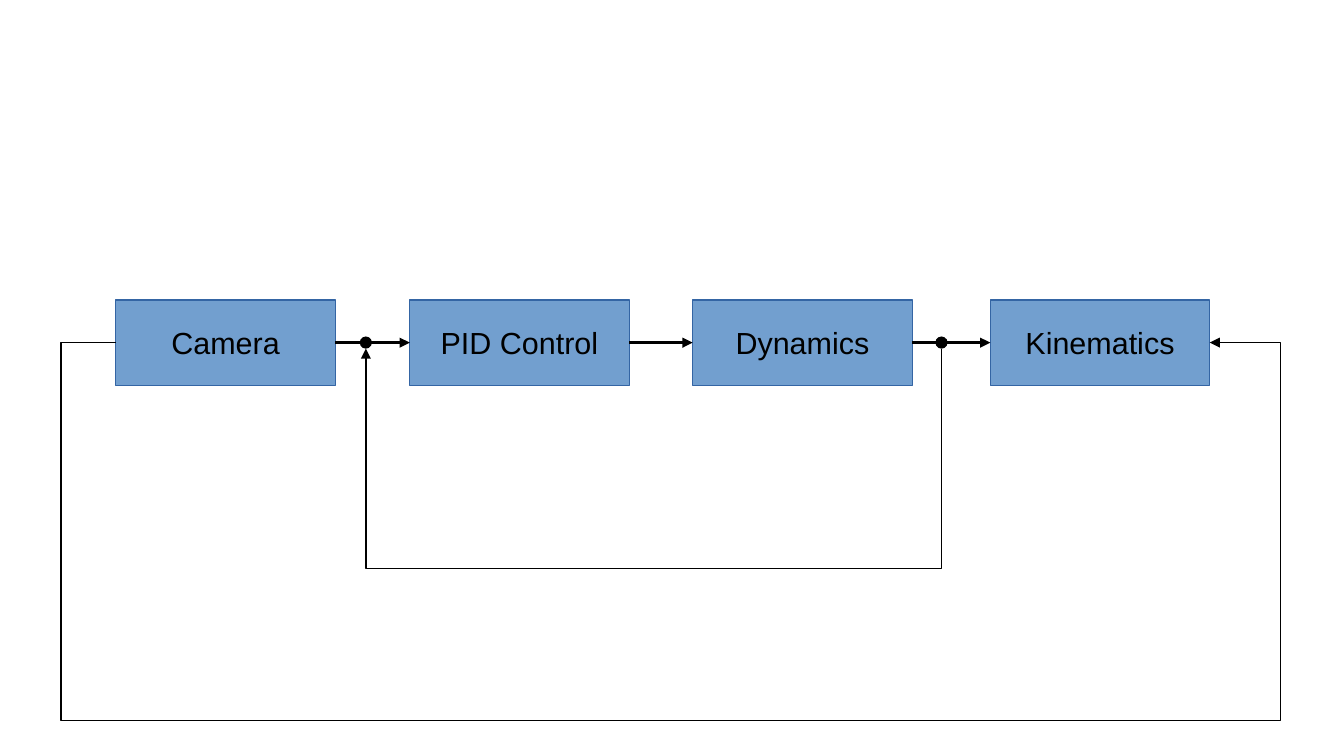
"""Build a block diagram of a camera control loop."""
from lxml import etree
from pptx import Presentation
from pptx.dml.color import RGBColor
from pptx.enum.shapes import MSO_CONNECTOR, MSO_SHAPE
from pptx.enum.text import MSO_ANCHOR, PP_ALIGN
from pptx.oxml.ns import qn
from pptx.util import Inches, Pt

RECT, OVAL = MSO_SHAPE.RECTANGLE, MSO_SHAPE.OVAL
STRAIGHT = MSO_CONNECTOR.STRAIGHT
MIDDLE, CENTER = MSO_ANCHOR.MIDDLE, PP_ALIGN.CENTER
LEFT, RIGHT = 1, 3

COLORS = {"box": "729FCF", "edge": "3465A4", "ink": "000000"}
BLOCKS = [("Camera", 0.95), ("PID Control", 3.36),
          ("Dynamics", 5.68), ("Kinematics", 8.12)]
TOP, WIDE, HIGH = 2.46, 1.8, 0.7
MID = TOP + HIGH / 2
DOT = 0.1
SUM_X, TAP_X = 3, 7.72
LOW = MID + DOT / 2
START, END = BLOCKS[0][1], BLOCKS[-1][1] + WIDE
LOOPS = [
    [(START, MID), (0.5, MID), (0.5, 5.91), (10.5, 5.91), (10.5, MID), (END, MID)],
    [(TAP_X, LOW), (TAP_X, 4.66), (SUM_X, 4.66), (SUM_X, LOW)],
]


def color(name):
    return RGBColor.from_string(COLORS[name])


def add_box(slide, label, left):
    box = slide.shapes.add_shape(RECT, Inches(left), Inches(TOP), Inches(WIDE), Inches(HIGH))
    box.shadow.inherit = False
    box.fill.solid()
    box.fill.fore_color.rgb = color("box")
    box.line.color.rgb = color("edge")
    box.line.width = 0
    frame = box.text_frame
    frame.word_wrap = False
    frame.vertical_anchor = MIDDLE
    para = frame.paragraphs[0]
    para.text = label
    para.alignment = CENTER
    para.font.name = "Arial"
    para.font.size = Pt(18)
    para.font.color.rgb = color("ink")
    return box


def style_arrow(arrow):
    arrow.line.color.rgb = color("ink")
    arrow.line.width = 0
    props = arrow._element.spPr
    etree.SubElement(props.find(qn("a:ln")), qn("a:tailEnd"), type="triangle")
    etree.SubElement(props, qn("a:effectLst"))


def add_link(slide, source, target):
    link = slide.shapes.add_connector(STRAIGHT, 0, 0, 0, 0)
    link.begin_connect(source, RIGHT)
    link.end_connect(target, LEFT)
    style_arrow(link)


def add_loop(slide, points):
    route = [(Inches(x), Inches(y)) for x, y in points]
    pen = slide.shapes.build_freeform(*route[0])
    pen.add_line_segments(route[1:], close=False)
    loop = pen.convert_to_shape()
    loop.fill.background()
    style_arrow(loop)


def add_dot(slide, x):
    dot = slide.shapes.add_shape(OVAL, Inches(x - DOT / 2), Inches(MID - DOT / 2),
                                 Inches(DOT), Inches(DOT))
    dot.shadow.inherit = False
    dot.fill.solid()
    dot.fill.fore_color.rgb = color("ink")
    dot.line.fill.background()


def main():
    deck = Presentation()
    deck.slide_width, deck.slide_height = Inches(11.02), Inches(6.2)
    slide = deck.slides.add_slide(deck.slide_layouts[6])
    boxes = [add_box(slide, label, left) for label, left in BLOCKS]
    for source, target in zip(boxes, boxes[1:]):
        add_link(slide, source, target)
    for points in LOOPS:
        add_loop(slide, points)
    for x in (SUM_X, TAP_X):
        add_dot(slide, x)
    deck.save("out.pptx")


if __name__ == "__main__":
    main()
